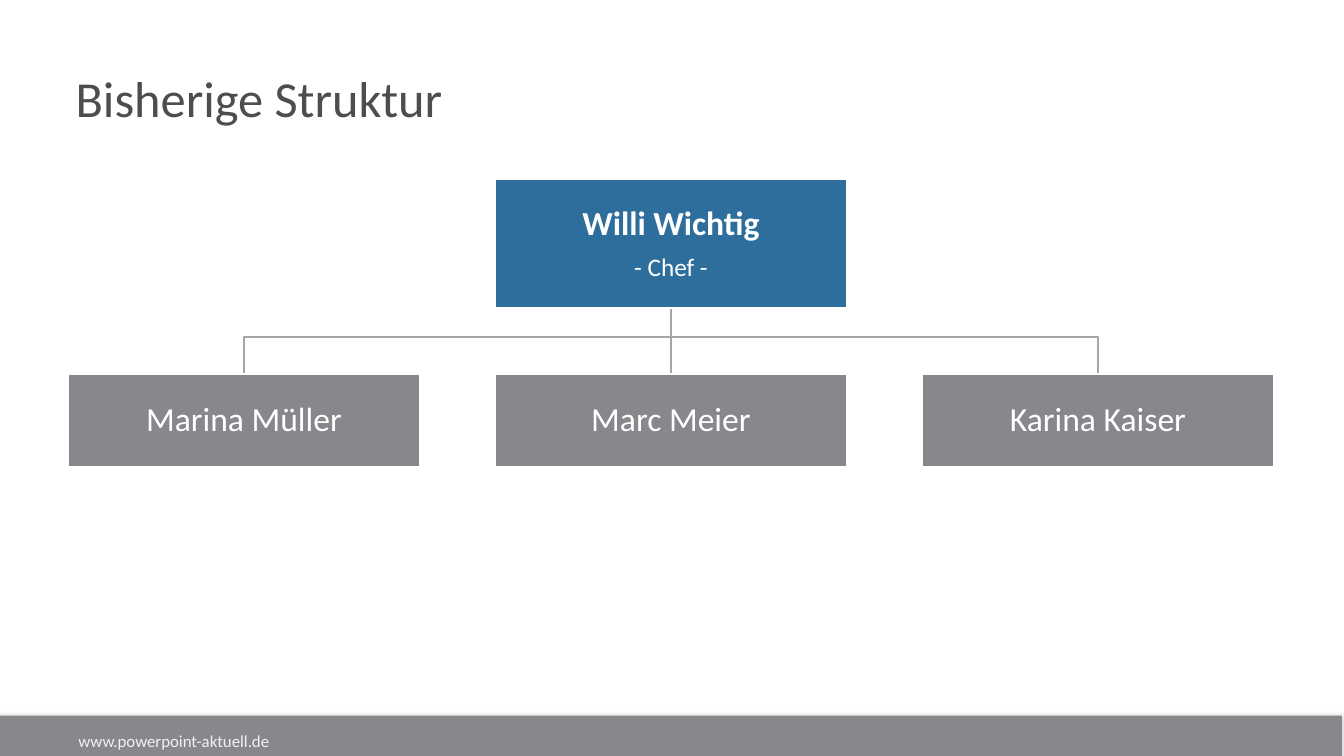
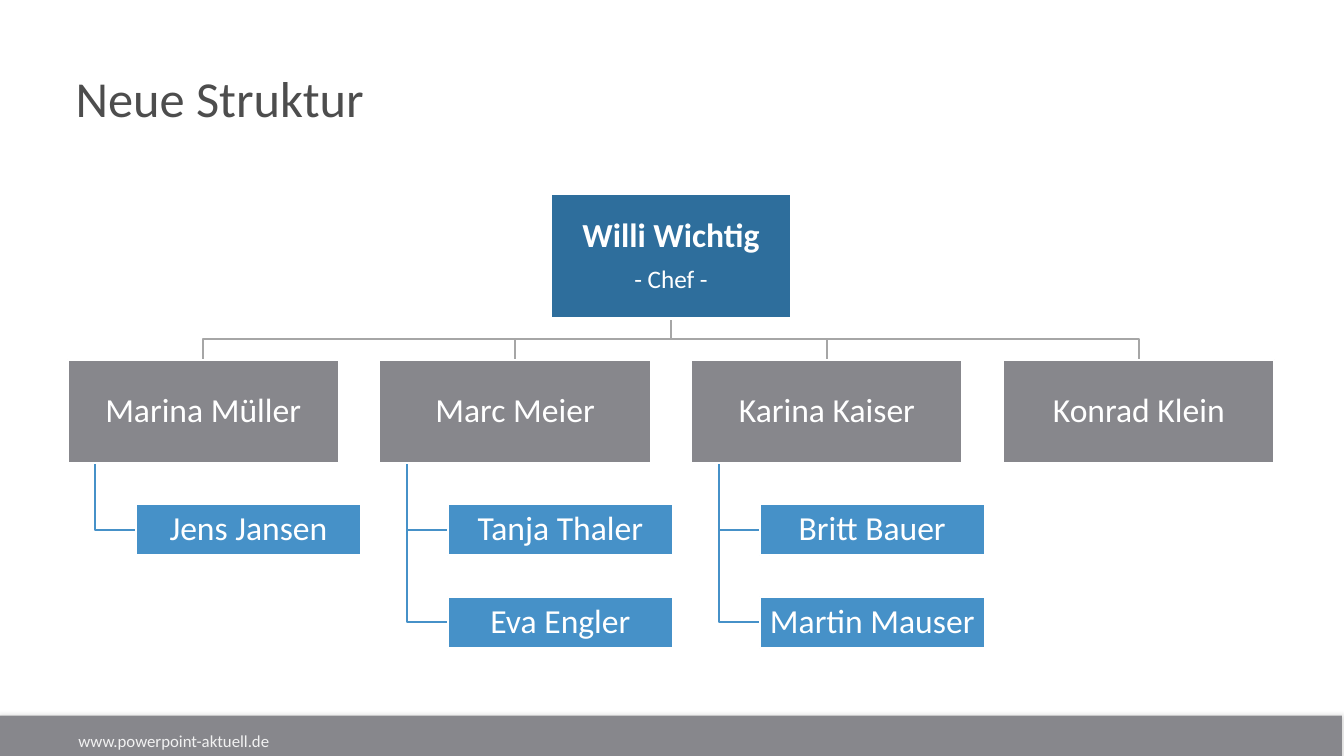
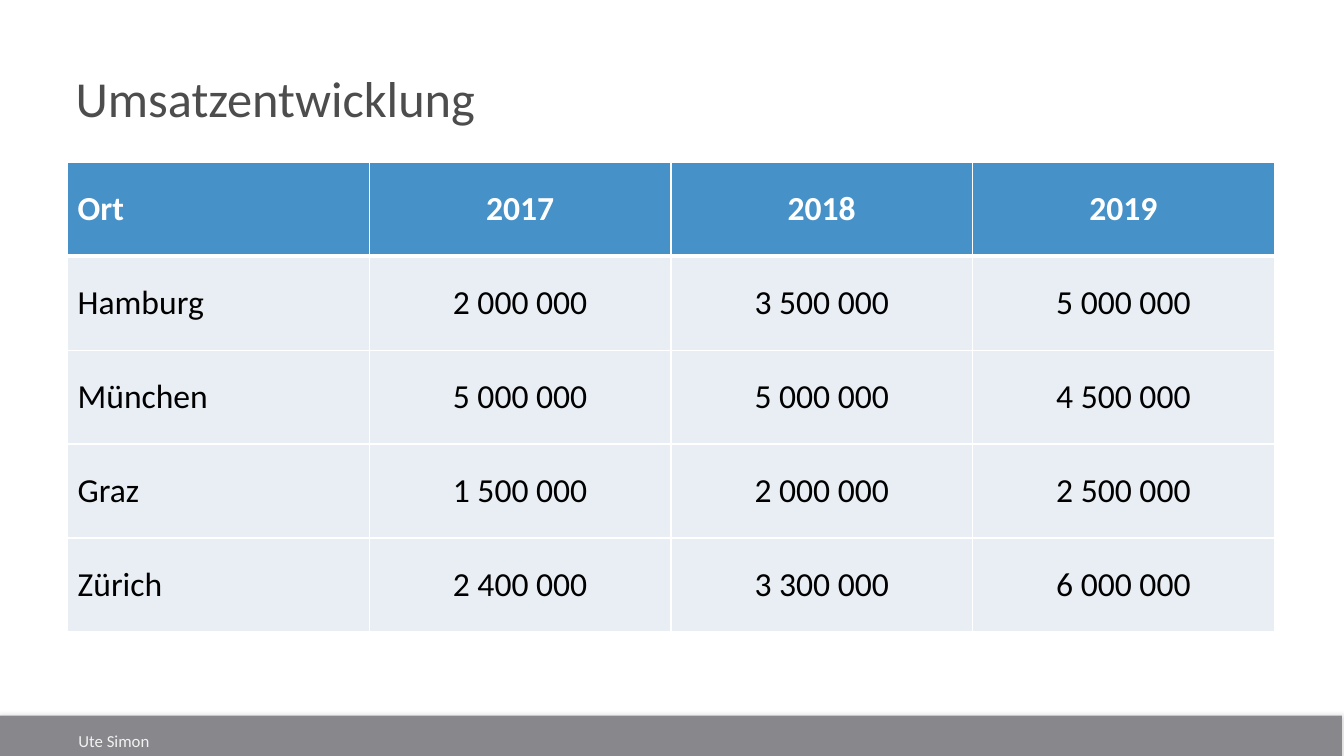
from collections import namedtuple
from dataclasses import dataclass

from lxml import etree
from pptx import Presentation
from pptx.dml.color import RGBColor
from pptx.enum import shapes, text
from pptx.oxml import parse_xml
from pptx.oxml.ns import nsdecls, qn
from pptx.util import Inches, Pt

Box = namedtuple("Box", "x y w h")


@dataclass(frozen=True)
class Theme:
    font: str = "Calibri"
    title: str = "4D4D4D"
    white: str = "FFFFFF"
    black: str = "000000"
    footer: str = "F2F2F2"
    gray: str = "87878C"
    navy: str = "2E6E9C"
    blue: str = "4691C8"
    pale: str = "E9EEF5"
    rule: str = "A6A6A6"
    title_size: int = 36
    body_size: int = 24
    role_size: int = 18
    footer_size: int = 12
    line: float = 1.5


T = Theme()
TITLE = Box(0.67, 0.21, 11.97, 1.1)
BAND = Box(-0.02, 7.1, 13.33, 0.46)
FOOTER = Box(0.68, 7.15, 8.6, 0.4)


def rgb(color):
    return RGBColor.from_string(color)


def emu(box):
    return [Inches(v) for v in box]


def style(p, size, color, bold=False, align=text.PP_ALIGN.LEFT):
    p.alignment = align
    for r in p.runs:
        f = r.font
        f.name, f.size, f.bold = T.font, Pt(size), bold
        f.color.rgb = rgb(color)


def add_rect(s, box, fill, line=None):
    sp = s.shapes.add_shape(shapes.MSO_SHAPE.RECTANGLE, *emu(box))
    sp.shadow.inherit = False
    sp.fill.solid()
    sp.fill.fore_color.rgb = rgb(fill)
    if line:
        sp.line.color.rgb = rgb(line)
        sp.line.width = Pt(T.line)
    else:
        sp.line.fill.background()
    return sp


def add_base(prs, title, footer):
    """Slide with the shared band, title and footer text."""
    s = prs.slides.add_slide(prs.slide_layouts[5])

    # Band with a soft shadow
    band = add_rect(s, BAND, T.gray)
    effects = band.element.spPr.find(qn("a:effectLst"))
    effects.append(parse_xml(
        f'<a:outerShdw {nsdecls("a")} blurRad="{Pt(4.2)}" dist="0" dir="5400000">'
        f'<a:srgbClr val="{T.black}"><a:alpha val="15000"/></a:srgbClr></a:outerShdw>'))

    # Title
    sp = s.shapes.title
    sp.left, sp.top, sp.width, sp.height = emu(TITLE)
    tf = sp.text_frame
    tf.text = title
    tf.auto_size = text.MSO_AUTO_SIZE.NONE
    tf.vertical_anchor = text.MSO_ANCHOR.BOTTOM
    tf.margin_left = tf.margin_right = Inches(0.08)
    tf.margin_top = tf.margin_bottom = Inches(0.04)
    style(tf.paragraphs[0], T.title_size, T.title)

    # Footer text
    tf = s.shapes.add_textbox(*emu(FOOTER)).text_frame
    tf.word_wrap = True
    tf.vertical_anchor = text.MSO_ANCHOR.MIDDLE
    tf.text = footer
    style(tf.paragraphs[0], T.footer_size, T.footer)
    return s


def add_person(s, box, fill, name, role=None):
    tf = add_rect(s, box, fill, T.white).text_frame
    tf.word_wrap = True
    tf.vertical_anchor = text.MSO_ANCHOR.MIDDLE
    tf.margin_left = tf.margin_right = tf.margin_top = tf.margin_bottom = Inches(0.02)
    tf.text = f"{name}\n{role}" if role else name
    for i, p in enumerate(tf.paragraphs):
        p.line_spacing = 0.9
        style(p, T.role_size if i else T.body_size, T.white,
              bool(role) and i == 0, text.PP_ALIGN.CENTER)
    if role:
        tf.paragraphs[0].space_after = Pt(8.4)


def add_link(s, points, color):
    """Straight connector for two points, bent line for more."""
    pts = [(Inches(x), Inches(y)) for x, y in points]
    if len(pts) == 2:
        sp = s.shapes.add_connector(shapes.MSO_CONNECTOR.STRAIGHT, *pts[0], *pts[1])
        etree.SubElement(sp.element.spPr, qn("a:effectLst"))
    else:
        builder = s.shapes.build_freeform(*pts[0])
        builder.add_line_segments(pts[1:], close=False)
        sp = builder.convert_to_shape()
        sp.shadow.inherit = False
        sp.fill.background()
    sp.line.color.rgb = rgb(color)
    sp.line.width = Pt(T.line)


def add_org_chart(s, area, teams, chief, head, gap, bend):
    """Chief on top, heads in an even row, members below; chief and head are (w, h)."""
    pitch = (area.w - head[0]) / (len(teams) - 1)
    chief_box = Box(area.x + (area.w - chief[0]) / 2, area.y, *chief)
    mid, foot = area.x + area.w / 2, area.y + chief[1]
    member_w, member_h, indent, spine = 2.23, 0.51, 0.68, 0.27
    links, people = [], [(chief_box, T.navy, "Willi Wichtig", "- Chef -")]

    for i, (name, members) in enumerate(teams):
        box = Box(area.x + i * pitch, foot + gap, *head)
        center = box.x + box.w / 2
        bent = [(mid, foot + bend), (center, foot + bend)]
        links.append(([(mid, foot), *(bent if abs(center - mid) > 0.01 else []),
                       (center, box.y)], T.rule))
        people.append((box, T.gray, name))
        bottom = box.y + box.h
        for j, member in enumerate(members):
            top = bottom + gap + j * (member_h + gap)
            x, y = box.x + spine, top + member_h / 2
            links.append(([(x, bottom), (x, y), (box.x + indent, y)], T.blue))
            people.append((Box(box.x + indent, top, member_w, member_h), T.blue, member))

    for points, color in links:
        add_link(s, points, color)
    for person in people:
        add_person(s, *person)


def add_border(cell, side, width):
    cell._tc.get_or_add_tcPr().append(parse_xml(
        f'<a:{side} {nsdecls("a")} w="{Pt(width)}"><a:solidFill>'
        f'<a:srgbClr val="{T.white}"/></a:solidFill></a:{side}>'))


def add_sales_table(s, area, rows):
    table = s.shapes.add_table(len(rows), len(rows[0]), *emu(area)).table
    for col in table.columns:
        col.width = Inches(area.w / len(rows[0]))
    for i, row in enumerate(rows):
        table.rows[i].height = Inches(area.h / len(rows))
        for j, value in enumerate(row):
            cell = table.cell(i, j)
            cell.text = value
            cell.vertical_anchor = text.MSO_ANCHOR.MIDDLE
            for side in ("lnL", "lnR", "lnT", "lnB"):
                under_header = (i, side) in ((0, "lnB"), (1, "lnT"))
                add_border(cell, side, 3 if under_header else 1)
            cell.fill.solid()
            cell.fill.fore_color.rgb = rgb(T.pale if i else T.blue)
            style(cell.text_frame.paragraphs[0], T.body_size,
                  T.black if i else T.white, i == 0,
                  text.PP_ALIGN.CENTER if j else text.PP_ALIGN.LEFT)


def main():
    prs = Presentation()
    prs.slide_width, prs.slide_height = Inches(13.33), Inches(7.5)
    site = "www.powerpoint-aktuell.de"

    # Previous structure
    s = add_base(prs, "Bisherige Struktur", site)
    add_org_chart(s, Box(0.67, 1.78, 11.97, 2.85),
                  [("Marina Müller", []), ("Marc Meier", []), ("Karina Kaiser", [])],
                  chief=(3.5, 1.28), head=(3.5, 0.92), gap=0.65, bend=0.28)

    # New structure
    s = add_base(prs, "Neue Struktur", site)
    add_org_chart(s, Box(0.67, 1.92, 11.97, 4.5),
                  [("Marina Müller", ["Jens Jansen"]),
                   ("Marc Meier", ["Tanja Thaler", "Eva Engler"]),
                   ("Karina Kaiser", ["Britt Bauer", "Martin Mauser"]),
                   ("Konrad Klein", [])],
                  chief=(2.39, 1.24), head=(2.69, 1.02), gap=0.41, bend=0.2)

    # Sales
    s = add_base(prs, "Umsatzentwicklung", "Ute Simon")
    add_sales_table(s, Box(0.67, 1.61, 11.97, 4.66), [
        ("Ort", "2017", "2018", "2019"),
        ("Hamburg", "2 000 000", "3 500 000", "5 000 000"),
        ("München", "5 000 000", "5 000 000", "4 500 000"),
        ("Graz", "1 500 000", "2 000 000", "2 500 000"),
        ("Zürich", "2 400 000", "3 300 000", "6 000 000"),
    ])
    prs.save("out.pptx")


if __name__ == "__main__":
    main()
